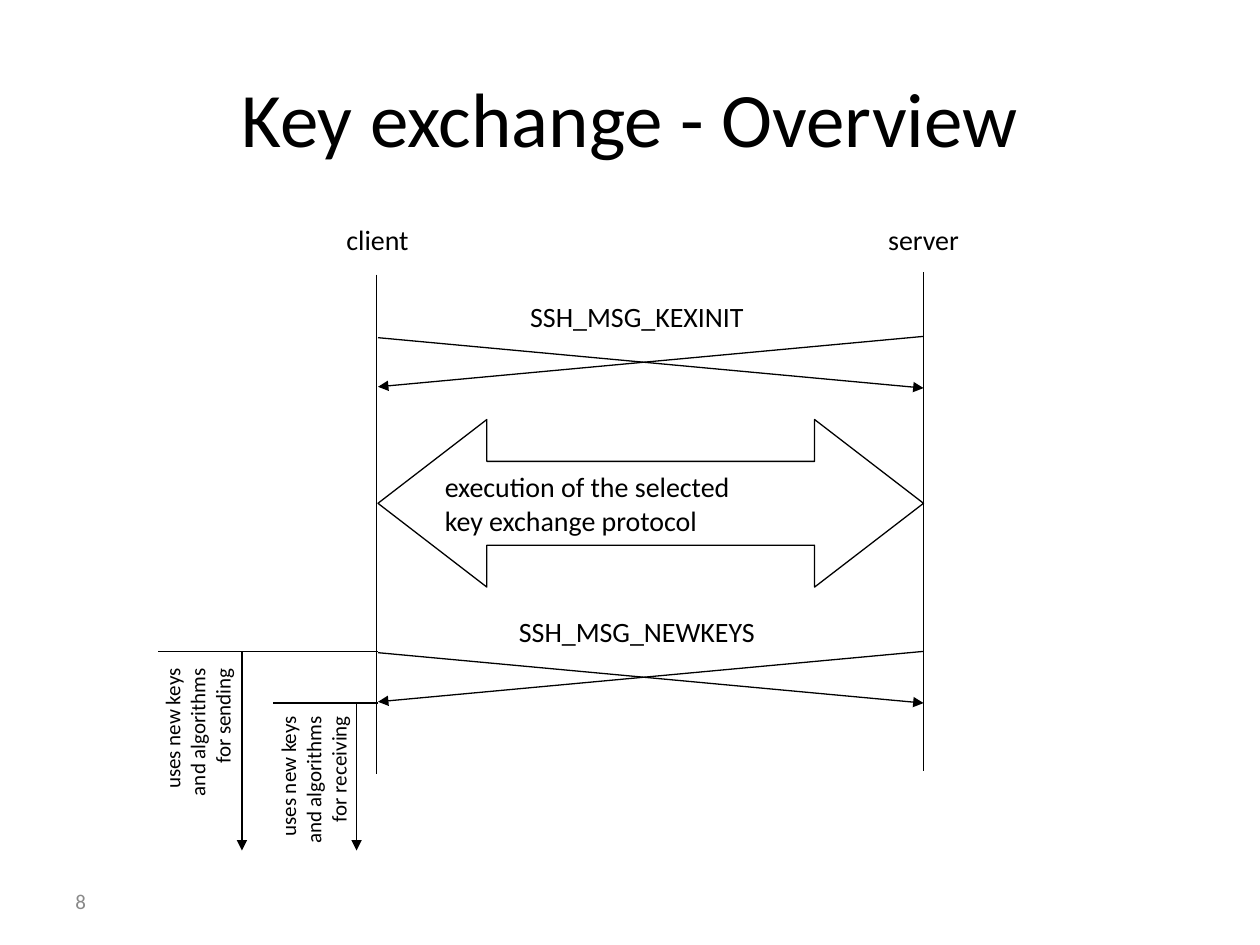
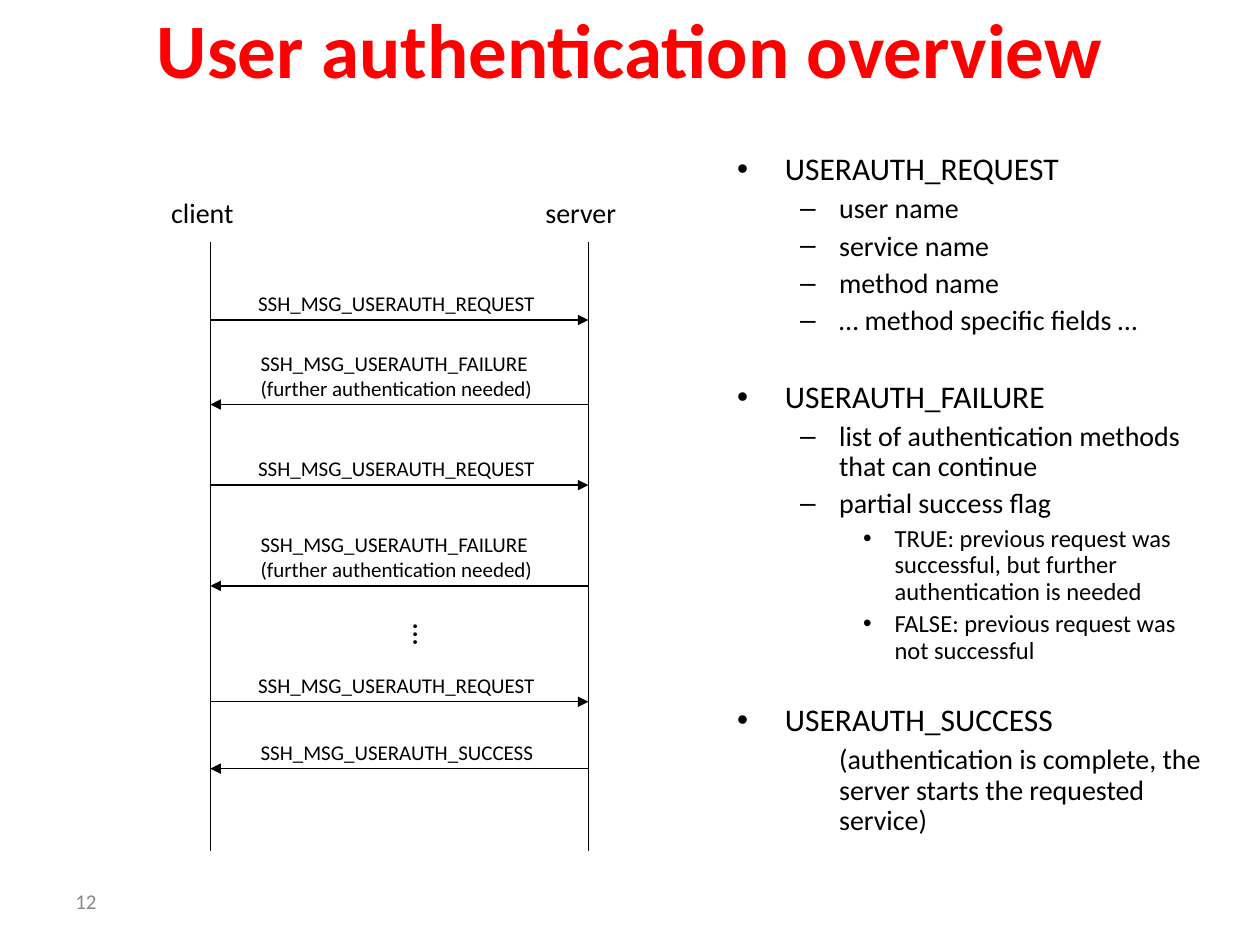
from dataclasses import dataclass

from pptx import Presentation
from pptx import util as u
from pptx.dml import color
from pptx.enum import shapes, text
from pptx.oxml import ns, xmlchemy


@dataclass(frozen=True)
class Theme:
    font: str = "Calibri"
    ink: str = "000000"
    paper: str = "FFFFFF"
    accent: str = "FF0000"
    muted: str = "898989"
    title_size: int = 44
    actor_size: int = 16
    dots_size: int = 18
    small_size: int = 12
    line_width: float = 0.75
    # Per list level: type size, left indent, hanging indent, space before
    levels: tuple = ((18, 0.38, 0.38, 4.5), (16, 0.81, 0.31, 4), (14, 1.25, 0.25, 3.5))


class Deck:
    """Holds the presentation, its style and the current slide."""

    def __init__(self, theme):
        self.theme = theme
        self.presentation = Presentation()
        self.presentation.slide_width = u.Inches(10)
        self.presentation.slide_height = u.Inches(7.5)
        self.slide = None

    def new_slide(self, layout, number):
        layouts = self.presentation.slide_layouts
        self.slide = self.presentation.slides.add_slide(layouts.get_by_name(layout))
        page = self.slide.shapes.add_textbox(*map(u.Inches, (0.5, 6.95, 2.33, 0.4)))
        page.text_frame.word_wrap = True
        page.text_frame.vertical_anchor = text.MSO_ANCHOR.MIDDLE
        self.run(page.text_frame.paragraphs[0], number, self.theme.small_size, self.theme.muted)

    def run(self, paragraph, words, size, ink=None, bold=False):
        run = paragraph.add_run()
        run.text = words
        run.font.name = self.theme.font
        run.font.size = u.Pt(size)
        run.font.bold = bold
        run.font.color.rgb = color.RGBColor.from_string(ink or self.theme.ink)

    def lines(self, frame, rows, size, align=text.PP_ALIGN.LEFT):
        for index, words in enumerate(rows):
            paragraph = frame.add_paragraph() if index else frame.paragraphs[0]
            paragraph.alignment = align
            self.run(paragraph, words, size)

    def place(self, shape, left, top, width, height):
        shape.left, shape.top = u.Inches(left), u.Inches(top)
        shape.width, shape.height = u.Inches(width), u.Inches(height)

    def title(self, words, top, ink=None, bold=False):
        title = self.slide.shapes.title
        self.place(title, 0.5, top, 9, 1.25)
        paragraph = title.text_frame.paragraphs[0]
        paragraph.alignment = text.PP_ALIGN.CENTER
        self.run(paragraph, words, self.theme.title_size, ink, bold)

    def bullets(self, items, left, top, width, height):
        """Fill the body; an item is level, words, extra space before, bulleted."""
        body = self.slide.placeholders[1]
        self.place(body, left, top, width, height)
        frame = body.text_frame
        frame.auto_size = text.MSO_AUTO_SIZE.NONE
        for index, (level, words, gap, bulleted) in enumerate(items):
            size, indent, hanging, before = self.theme.levels[level]
            paragraph = frame.add_paragraph() if index else frame.paragraphs[0]
            paragraph.level = level
            paragraph.line_spacing = 0.9
            paragraph.space_before = u.Pt(before + gap)
            properties = paragraph._p.get_or_add_pPr()
            properties.set("marL", str(u.Inches(indent)))
            properties.set("indent", str(-u.Inches(hanging) if bulleted else 0))
            if not bulleted:
                properties.append(xmlchemy.OxmlElement("a:buNone"))
            self.run(paragraph, words, size)

    def label_height(self, rows, size):
        return 0.1 + len(rows) * size * 1.2 / 72

    def label(self, rows, left, top, width, size, align=text.PP_ALIGN.LEFT, rotation=0):
        height = self.label_height(rows, size)
        box = self.slide.shapes.add_textbox(*map(u.Inches, (left, top, width, height)))
        box.rotation = rotation
        box.text_frame.word_wrap = False
        box.text_frame.auto_size = text.MSO_AUTO_SIZE.NONE
        self.lines(box.text_frame, rows, size, align)

    def actors(self, client_left, server_left, top):
        for name, left in (("client", client_left), ("server", server_left)):
            self.label([name], left, top, 0.85, self.theme.actor_size)

    def outline(self, shape):
        shape.line.color.rgb = color.RGBColor.from_string(self.theme.ink)
        shape.line.width = u.Pt(self.theme.line_width)

    def line(self, x1, y1, x2, y2, arrow=False):
        connector = self.slide.shapes.add_connector(
            shapes.MSO_CONNECTOR.STRAIGHT, *map(u.Inches, (x1, y1, x2, y2)))
        self.outline(connector)
        properties = connector._element.find(ns.qn("p:spPr"))
        properties.append(xmlchemy.OxmlElement("a:effectLst"))
        if arrow:
            head = xmlchemy.OxmlElement("a:tailEnd")
            head.set("type", "triangle")
            connector.line._get_or_add_ln().append(head)

    def double_arrow(self, rows, left, top, width, height):
        arrow = self.slide.shapes.add_shape(
            shapes.MSO_SHAPE.LEFT_RIGHT_ARROW, *map(u.Inches, (left, top, width, height)))
        arrow.adjustments[0], arrow.adjustments[1] = 0.5, 0.65
        arrow.shadow.inherit = False
        arrow.fill.solid()
        arrow.fill.fore_color.rgb = color.RGBColor.from_string(self.theme.paper)
        self.outline(arrow)
        frame = arrow.text_frame
        frame.word_wrap = False
        frame.vertical_anchor = text.MSO_ANCHOR.MIDDLE
        self.lines(frame, rows, self.theme.actor_size)


def key_exchange(deck):
    theme = deck.theme
    deck.new_slide("Title Only", "8")
    deck.title("Key exchange - Overview", 0.3)

    # Lifelines
    client, server = 3, 7.33
    deck.line(2.99, 2.18, 2.99, 6.14)
    deck.line(server, 2.16, server, 6.12)
    deck.actors(2.65, 6.95, 1.72)

    # Protocol run between the two crossing message pairs
    deck.double_arrow(["execution of the selected", "key exchange protocol"],
                      client, 3.33, server - client, 1.33)
    for message, left, y in (("SSH_MSG_KEXINIT", 4.11, 2.67),
                             ("SSH_MSG_NEWKEYS", 4.02, 5.17)):
        deck.label([message], left, y - 0.34, 2.2, theme.actor_size)
        deck.line(client, y + 0.01, server, y + 0.41, arrow=True)
        deck.line(server, y, client, y + 0.4, arrow=True)

    # Periods in which the new keys apply
    for purpose, start, edge, axis, left, top in (
            ("for sending", 5.17, 1.25, 1.92, 0.91, 5.51),
            ("for receiving", 5.58, 2.17, 2.83, 1.83, 5.89)):
        deck.line(client, start, edge, start)
        deck.line(axis, start, axis, 6.75, arrow=True)
        deck.label(["uses new keys", "and algorithms", purpose], left, top, 1.31,
                   theme.small_size, text.PP_ALIGN.RIGHT, 270)


def user_authentication(deck):
    theme = deck.theme
    deck.new_slide("Title and Content", "12")
    deck.title("User authentication overview", -0.25, theme.accent, bold=True)

    # Message contents
    deck.bullets([
        (0, "USERAUTH_REQUEST", 0, True),
        (1, "user name", 0, True),
        (1, "service name", 0, True),
        (1, "method name", 0, True),
        (1, "… method specific fields …", 0, True),
        (0, "USERAUTH_FAILURE", 21, True),
        (1, "list of authentication methods that can continue", 0, True),
        (1, "partial success flag", 0, True),
        (2, "TRUE: previous request was successful, but further authentication is needed",
         0, True),
        (2, "FALSE: previous request was not successful", 0, True),
        (0, "USERAUTH_SUCCESS", 18.5, True),
        (1, "(authentication is complete, the server starts the requested service)",
         0, False),
    ], 5.75, 1.17, 3.92, 5.75)

    # Lifelines
    client, server = 1.67, 4.67
    for x in (client, server):
        deck.line(x, 1.92, x, 6.75)
    deck.actors(1.26, 4.23, 1.5)

    # Messages: requests run to the server, answers back to the client
    request = ["SSH_MSG_USERAUTH_REQUEST"]
    failure = ["SSH_MSG_USERAUTH_FAILURE", "(further authentication needed)"]
    success = ["SSH_MSG_USERAUTH_SUCCESS"]
    for rows, y in ((request, 2.54), (failure, 3.21), (request, 3.85),
                    (failure, 4.65), (request, 5.57), (success, 6.1)):
        left, start, end = (1.95, client, server) if rows is request else (1.97, server, client)
        top = y + 0.02 - deck.label_height(rows, theme.small_size)
        deck.label(rows, left, top, 2.5, theme.small_size)
        deck.line(start, y, end, y, arrow=True)
    deck.label(["…"], 3.01, 4.82, 0.4, theme.dots_size, rotation=270)


def main():
    deck = Deck(Theme())
    key_exchange(deck)
    user_authentication(deck)
    deck.presentation.save("out.pptx")


if __name__ == "__main__":
    main()
